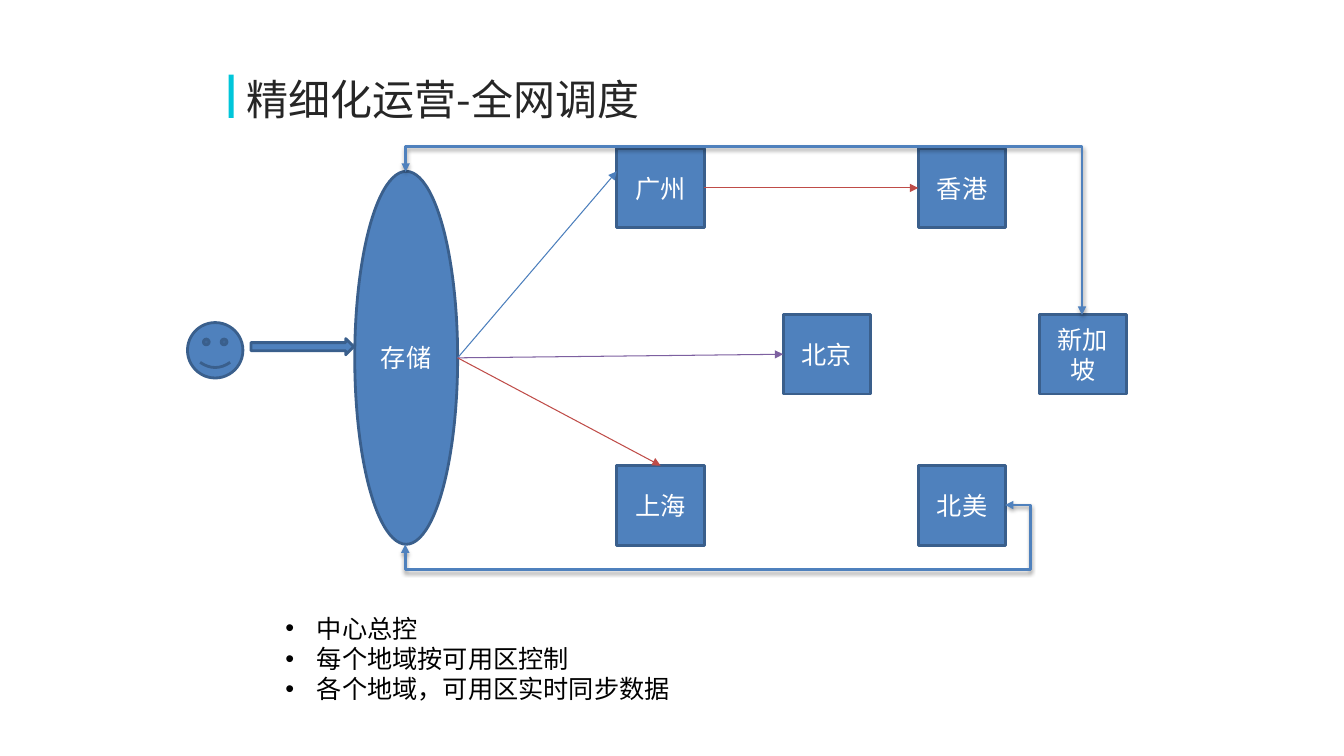
import pptx
import pptx.util
import pptx.dml.color
import pptx.enum.shapes
import pptx.enum.text
import pptx.oxml
import pptx.oxml.ns

Pt = pptx.util.Pt
SHAPE = pptx.enum.shapes.MSO_SHAPE
CONNECTOR = pptx.enum.shapes.MSO_CONNECTOR
ANCHOR = pptx.enum.text.MSO_ANCHOR
ALIGN = pptx.enum.text.PP_ALIGN
NO_FIT = pptx.enum.text.MSO_AUTO_SIZE.NONE
color = pptx.dml.color.RGBColor.from_string
A_NS = pptx.oxml.ns.nsdecls("a")
BLUE, EDGE = "4F81BD", "3A5F8C"


def add_block(kind, left, top, width, height, label=""):
    block = slide.shapes.add_shape(kind, Pt(left), Pt(top), Pt(width), Pt(height))
    block.shadow.inherit = False
    block.fill.solid()
    block.fill.fore_color.rgb = color(BLUE)
    block.line.color.rgb = color(EDGE)
    block.line.width = Pt(2)
    if label:
        block.text_frame.text = label
        words = block.text_frame.paragraphs[0]
        words.alignment = ALIGN.CENTER
        words.font.name = "Calibri"
        words.font.size = Pt(18)
        words.font.color.rgb = color("FFFFFF")
    return block


def add_link(kind, x1, y1, x2, y2, hue, weight, ends, effect=""):
    link = slide.shapes.add_connector(kind, Pt(x1), Pt(y1), Pt(x2), Pt(y2))
    link.line.color.rgb = color(hue)
    link.line.width = Pt(weight)
    outline = link.line._get_or_add_ln()
    for end in ends:
        outline.append(pptx.oxml.parse_xml(f'<a:{end} {A_NS} type="triangle"/>'))
    link._element.spPr.append(
        pptx.oxml.parse_xml(f"<a:effectLst {A_NS}>{effect}</a:effectLst>"))
    return link


deck = pptx.Presentation()
deck.slide_width, deck.slide_height = Pt(960), Pt(540)
slide = deck.slides.add_slide(deck.slide_layouts[1])

# Title with its accent bar
title = slide.shapes.title
title.left, title.top, title.width, title.height = Pt(169.2), Pt(18), Pt(620.6), Pt(104.4)
title.text_frame.text = "精细化运营-全网调度"
title.text_frame.vertical_anchor = ANCHOR.MIDDLE
title.text_frame.auto_size = NO_FIT
heading = title.text_frame.paragraphs[0]
heading.alignment = ALIGN.LEFT
heading.font.size = Pt(30)
heading.font.color.rgb = color("262626")
heading.font.name = "Noto Sans CJK SC"
heading_run = heading.runs[0]
heading_run._r.get_or_add_rPr().append(
    pptx.oxml.parse_xml(f'<a:ea {A_NS} typeface="Noto Sans CJK SC"/>'))

accent = add_block(SHAPE.RECTANGLE, 163.4, 53.3, 3.6, 31)
accent.fill.fore_color.rgb = color("00C6DA")
accent.line.fill.background()

# User, dispatcher and regions
add_block(SHAPE.SMILEY_FACE, 133.9, 230.4, 39.6, 39.6)
add_block(SHAPE.OVAL, 253.4, 122.4, 73.5, 266.4, "存储")
TOP, MIDDLE, BOTTOM = 105.8, 224.6, 332.6
regions = {}
for city, left, top in [
    ("广州", 440.6, TOP), ("上海", 440.6, BOTTOM), ("北美", 655.9, BOTTOM),
    ("北京", 559.4, MIDDLE), ("香港", 655.9, TOP), ("新加坡", 742.3, MIDDLE),
]:
    regions[city] = add_block(SHAPE.FLOWCHART_PROCESS, left, top, 62.6, 56.9, city)
add_block(SHAPE.RIGHT_ARROW, 179.3, 241.9, 73.4, 11.5)

# Straight dispatch links
hub = (326.9, 255.6)
add_link(CONNECTOR.STRAIGHT, *hub, 440.6, 122.4, "4B7EBC", 0.75, ["tailEnd"])
for city, side, hue in [("北京", 1, "7D60A0"), ("上海", 0, "BF4C48")]:
    dispatch = add_link(CONNECTOR.STRAIGHT, *hub, *hub, hue, 0.75, ["tailEnd"])
    dispatch.end_connect(regions[city], side)
relay = add_link(CONNECTOR.STRAIGHT, 0, 0, 0, 0, "BF4C48", 0.75, ["tailEnd"])
relay.begin_connect(regions["广州"], 3)
relay.end_connect(regions["香港"], 1)

# Two-way bent links to the overseas regions
soft_shadow = (
    '<a:outerShdw blurRad="39370" dist="20320" dir="5400000" rotWithShape="0">'
    '<a:srgbClr val="000000"><a:alpha val="38000"/></a:srgbClr></a:outerShdw>')
for left, top, width, height, turn, flips, preset, bends in [
    (489.6, 160.6, 28.1, 428.4, 90, ["flipH", "flipV"], "bentConnector4", [-63500, 104200]),
    (480.2, -67.7, 102.2, 483.1, 270, ["flipH"], "bentConnector3", [-17600]),
]:
    sync = add_link(CONNECTOR.ELBOW, left, top, left + width, top + height,
                    BLUE, 2, ["headEnd", "tailEnd"], soft_shadow)
    frame = sync._element.spPr.find(pptx.oxml.ns.qn("a:xfrm"))
    frame.set("rot", str(turn * 60000))
    for flip in flips:
        frame.set(flip, "1")
    geometry = sync._element.spPr.find(pptx.oxml.ns.qn("a:prstGeom"))
    geometry.set("prst", preset)
    guides = geometry.find(pptx.oxml.ns.qn("a:avLst"))
    for number, bend in enumerate(bends, 1):
        guides.append(pptx.oxml.parse_xml(
            f'<a:gd {A_NS} name="adj{number}" fmla="val {bend}"/>'))

# Key points
points = slide.placeholders[1]
points.left, points.top, points.width, points.height = Pt(196.6), Pt(434.2), Pt(594), Pt(72.7)
points.text_frame.text = "中心总控\n每个地域按可用区控制\n各个地域，可用区实时同步数据"
points.text_frame.vertical_anchor = ANCHOR.TOP
points.text_frame.auto_size = NO_FIT
for point in points.text_frame.paragraphs:
    point.space_before = Pt(0)
    point.font.name = "Calibri"
    point.font.size = Pt(18)
    point.font.color.rgb = color("000000")
    layout = point._p.get_or_add_pPr()
    layout.set("marL", str(Pt(22.5)))
    layout.set("indent", str(Pt(-22.5)))

deck.save("out.pptx")
